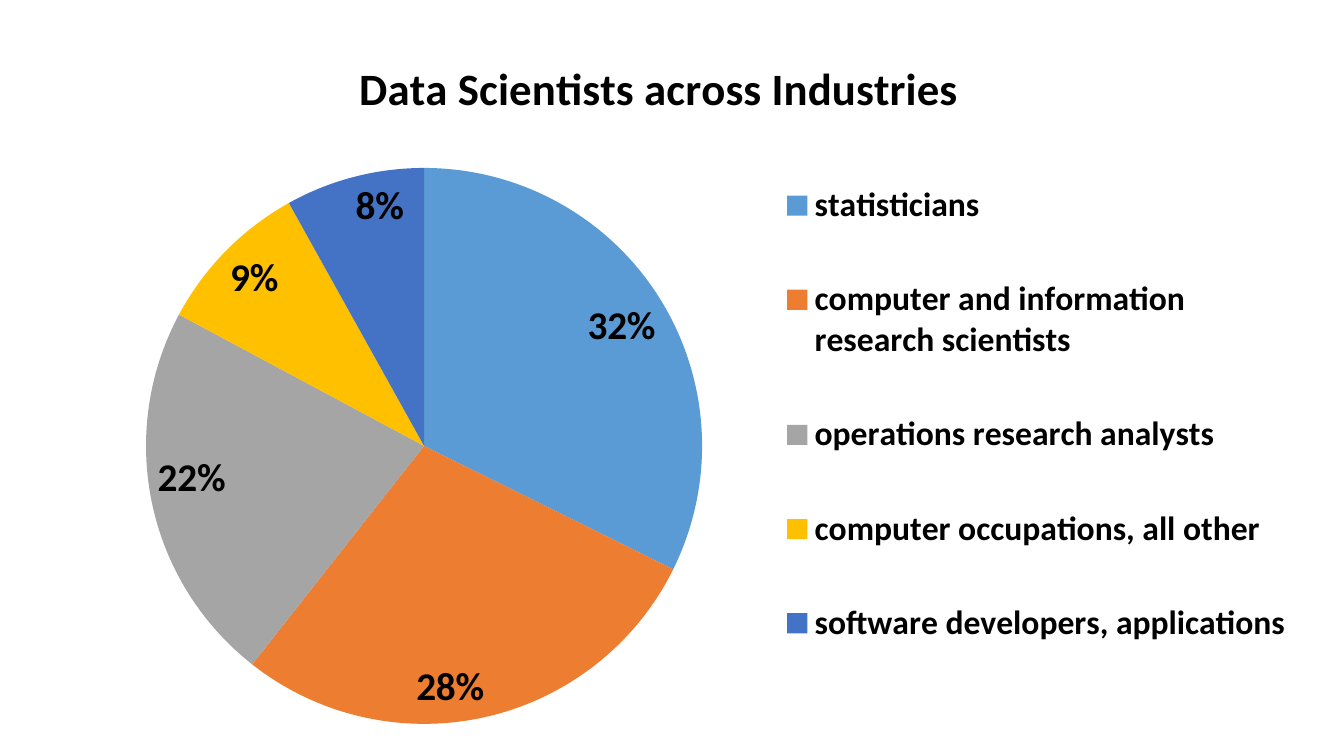
from lxml.etree import SubElement
from pptx import Presentation
from pptx.chart.data import CategoryChartData
from pptx.dml.color import RGBColor
from pptx.enum.chart import XL_CHART_TYPE as ChartType
from pptx.enum.chart import XL_LABEL_POSITION as LabelPosition
from pptx.enum.chart import XL_LEGEND_POSITION as LegendPosition
from pptx.oxml import parse_xml
from pptx.oxml.ns import nsdecls, qn
from pptx.util import Emu, Inches, Pt

COLOURS = {
    "text": "000000",
    "statisticians": "5B9BD5",
    "computer and information research scientists": "ED7D31",
    "operations research analysts": "A5A5A5",
    "computer occupations, all other": "FFC000",
    "software developers, applications": "4472C4",
}
SHARES = {
    "statisticians": 32,
    "computer and information research scientists": 28,
    "operations research analysts": 22,
    "computer occupations, all other": 9,
    "software developers, applications": 8,
}


class SlideBuilder:
    font_name = "Calibri"
    px = 914400 / 100.8

    def __init__(self, slide):
        self.slide = slide

    def style(self, font, size, bold=True):
        font.name = self.font_name
        font.size = Pt(size)
        font.bold = bold
        font.color.rgb = RGBColor.from_string(COLOURS["text"])

    def place(self, chart, name, index, frame, box):
        part = chart.element.find(f".//{qn(name)}")
        left, top, width, height = frame
        x, y, w, h = box
        for old in part.findall(qn("c:layout")):
            part.remove(old)
        layout = parse_xml(f"<c:layout {nsdecls('c')}/>")
        manual = SubElement(layout, qn("c:manualLayout"))
        settings = {"xMode": "edge", "yMode": "edge",
                    "x": (x - left) / width, "y": (y - top) / height}
        if name != "c:title":
            settings.update(w=w / width, h=h / height)
        if name == "c:plotArea":
            settings = {"layoutTarget": "inner", **settings}
        for key, value in settings.items():
            SubElement(manual, qn(f"c:{key}")).set("val", str(value))
        part.insert(index, layout)

    def pie(self, heading, shares, frame, title_box, pie_box, legend_box):
        data = CategoryChartData()
        data.categories = list(shares)
        data.add_series("Series 1", list(shares.values()))
        bounds = [Emu(round(n * self.px)) for n in frame]
        chart = self.slide.shapes.add_chart(ChartType.PIE, *bounds, data).chart
        self.style(chart.font, 10, False)

        chart.has_title = True
        chart.chart_title.text_frame.text = heading
        self.style(chart.chart_title.text_frame.paragraphs[0].runs[0].font, 32)

        chart.has_legend = True
        chart.legend.position = LegendPosition.RIGHT
        chart.legend.include_in_layout = False
        self.style(chart.legend.font, 24)

        plot = chart.plots[0]
        plot.vary_by_categories = True
        for index, occupation in enumerate(shares):
            fill = plot.series[0].points[index].format.fill
            fill.solid()
            fill.fore_color.rgb = RGBColor.from_string(COLOURS[occupation])

        plot.has_data_labels = True
        labels = plot.data_labels
        labels.show_percentage = True
        labels.show_value = False
        labels.number_format = "0%"
        labels.number_format_is_linked = False
        labels.position = LabelPosition.INSIDE_END
        self.style(labels.font, 28)

        self.place(chart, "c:plotArea", 0, frame, pie_box)
        self.place(chart, "c:legend", 1, frame, legend_box)
        self.place(chart, "c:title", 1, frame, title_box)


def main():
    deck = Presentation()
    deck.slide_width, deck.slide_height = Inches(13.33), Inches(7.5)
    builder = SlideBuilder(deck.slides.add_slide(deck.slide_layouts[6]))
    builder.pie(
        "Data Scientists across Industries",
        SHARES,
        frame=(65, 20, 1233, 717),
        title_box=(351, 49, 598, 54),
        pie_box=(146, 168, 556, 556),
        legend_box=(776, 132, 520, 565),
    )
    deck.save("out.pptx")


if __name__ == "__main__":
    main()
